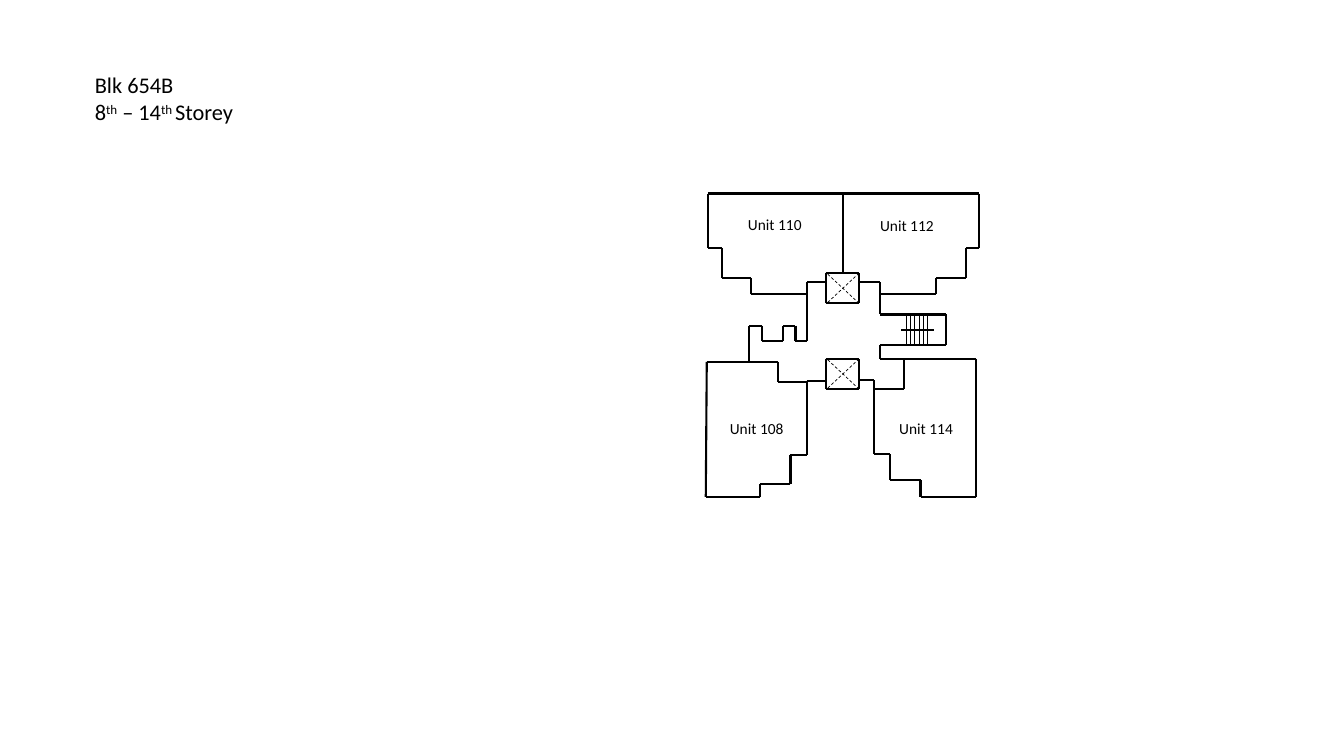
import itertools

import pptx
import pptx.dml.color
import pptx.enum.dml
import pptx.enum.shapes
import pptx.enum.text
import pptx.oxml.ns
import pptx.util
from lxml import etree

COLORS = {"ink": "000000", "paper": "FFFFFF"}
FONT = "Calibri"
COLUMNS, ROWS = 133.3, 75  # grid cells of a tenth of an inch

# Outlines as (column, row) corners
UPPER_WALLS = [
    [(81.9, 28), (80, 28), (80, 29.2), (74.5, 29.2), (74.5, 27.6),
     (71.6, 27.6), (71.6, 24.6), (70.2, 24.6), (70.2, 19.2), (97.1, 19.2),
     (97.1, 24.6), (95.8, 24.6), (95.8, 27.6), (92.8, 27.6), (92.8, 29.2),
     (87.3, 29.2), (87.3, 28), (85.2, 28)],
    [(83.6, 19.2), (83.6, 27.1)],
]
LOWER_WALLS = [
    # Unit 108
    [(75.4, 49.3), (70, 49.3), (70.1, 35.9), (77.2, 35.9), (77.2, 37.9),
     (80, 37.9), (80, 45.1), (78.4, 45.1), (78.4, 48), (75.4, 48),
     (75.4, 49.3)],
    [(80, 37.8), (81.9, 37.8)],
    # Staircase and unit 114
    [(87.3, 29.2), (87.3, 31.2), (93.8, 31.2), (93.8, 34.2), (87.3, 34.2),
     (87.3, 35.6), (96.8, 35.6), (96.8, 49.3), (91.3, 49.3), (91.3, 47.6),
     (88.3, 47.6), (88.3, 45), (86.7, 45), (86.7, 37.7), (85.2, 37.7)],
    [(86.7, 38.6), (89.7, 38.6), (89.7, 35.6)],
    # Service riser
    [(74.3, 35.9), (74.3, 32.3), (75.6, 32.3), (75.6, 33.8), (77.7, 33.8),
     (77.7, 32.3), (78.9, 32.3), (78.9, 33.8), (80, 33.8), (80, 29.2)],
]
LIFT_LEFT, LIFT_WIDTH, LIFT_HEIGHT = 81.9, 3.3, 3
LIFT_TOPS = (27.1, 35.6)
UNITS = {
    "Unit 108": (71.4, 41.1),
    "Unit 110": (73.2, 20.8),
    "Unit 112": (86.3, 20.9),
    "Unit 114": (88.2, 41.1),
}
STOREYS = [
    [("Blk 654B", False)],
    [("8", False), ("th", True), (" – 14", False), ("th ", True), ("Storey", False)],
]


def rgb(name):
    return pptx.dml.color.RGBColor.from_string(COLORS[name])


def add_text(paragraph, text, size=11, color="ink", raised=False):
    run = paragraph.add_run()
    run.text = text
    run.font.name = FONT
    run.font.size = pptx.util.Pt(size)
    run.font.color.rgb = rgb(color)
    if raised:
        run.font._element.set("baseline", "30000")


class FloorPlan:
    def __init__(self, presentation):
        self.cell_width = presentation.slide_width / COLUMNS
        self.cell_height = presentation.slide_height / ROWS
        self.slide = presentation.slides.add_slide(presentation.slide_layouts[5])
        self.slide.background.fill.solid()
        self.slide.background.fill.fore_color.rgb = rgb("paper")

    def place(self, column, row):
        return round(column * self.cell_width), round(row * self.cell_height)

    def group(self):
        return self.slide.shapes.add_group_shape().shapes

    def line(self, start, end, weight=1.5, dashed=False, shapes=None):
        target = self.slide.shapes if shapes is None else shapes
        connector = target.add_connector(
            pptx.enum.shapes.MSO_CONNECTOR.STRAIGHT,
            *self.place(*start), *self.place(*end))
        connector.line.color.rgb = rgb("ink")
        connector.line.width = pptx.util.Pt(weight)
        if dashed:
            connector.line.dash_style = pptx.enum.dml.MSO_LINE.DASH
        etree.SubElement(connector._element.spPr, pptx.oxml.ns.qn("a:effectLst"))

    def walls(self, corners, shapes=None):
        for start, end in itertools.pairwise(corners):
            self.line(start, end, shapes=shapes)

    def lift(self, top):
        left, right = LIFT_LEFT, LIFT_LEFT + LIFT_WIDTH
        bottom = top + LIFT_HEIGHT
        self.walls([(left, top), (right, top), (right, bottom),
                    (left, bottom), (left, top)])
        near, far = left + 0.2, right - 0.1
        high, low = top + 0.1, bottom - 0.1
        self.line((near, high), (far, low), weight=0.5, dashed=True)
        self.line((near, low), (far, high), weight=0.5, dashed=True)

    def stairs(self):
        shapes = self.group()
        for tread in range(6):
            column = 89.9 + 0.42 * tread
            self.line((column, 31.3), (column, 34.1), weight=0.5, shapes=shapes)
        self.line((89.4, 32.7), (92.6, 32.7), shapes=shapes)

    def label(self, text, column, row):
        box = self.slide.shapes.add_textbox(
            *self.place(column, row), *self.place(7.5, 2.9))
        box.text_frame.word_wrap = False
        box.text_frame.auto_size = pptx.enum.text.MSO_AUTO_SIZE.SHAPE_TO_FIT_TEXT
        add_text(box.text_frame.paragraphs[0], text)

    def title(self, lines):
        title = self.slide.shapes.title
        title.left, title.top = self.place(8.4, 6.6)
        title.width, title.height = self.place(20.2, 6.4)
        frame = title.text_frame
        frame.word_wrap = True
        frame.auto_size = pptx.enum.text.MSO_AUTO_SIZE.SHAPE_TO_FIT_TEXT
        frame.vertical_anchor = pptx.enum.text.MSO_ANCHOR.TOP
        for index, parts in enumerate(lines):
            paragraph = frame.add_paragraph() if index else frame.paragraphs[0]
            paragraph.alignment = pptx.enum.text.PP_ALIGN.LEFT
            for text, raised in parts:
                add_text(paragraph, text, size=16, raised=raised)


def main():
    presentation = pptx.Presentation()
    presentation.slide_width = pptx.util.Inches(13.33)
    presentation.slide_height = pptx.util.Inches(7.5)
    plan = FloorPlan(presentation)
    plan.title(STOREYS)
    for corners in LOWER_WALLS:
        plan.walls(corners)
    plan.stairs()
    for top in LIFT_TOPS:
        plan.lift(top)
    upper_floor = plan.group()
    for corners in UPPER_WALLS:
        plan.walls(corners, shapes=upper_floor)
    for name, corner in UNITS.items():
        plan.label(name, *corner)
    presentation.save("out.pptx")


if __name__ == "__main__":
    main()
